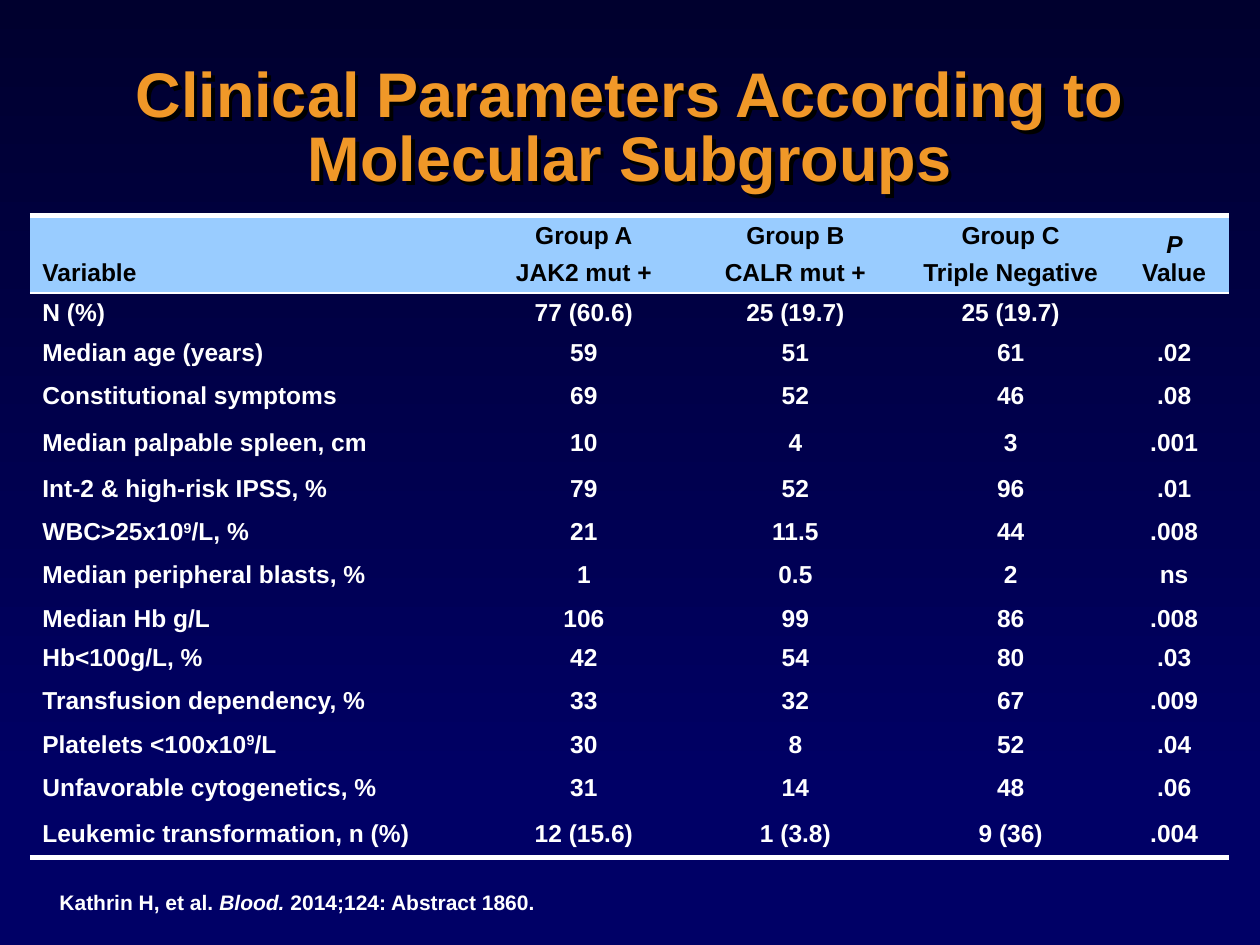
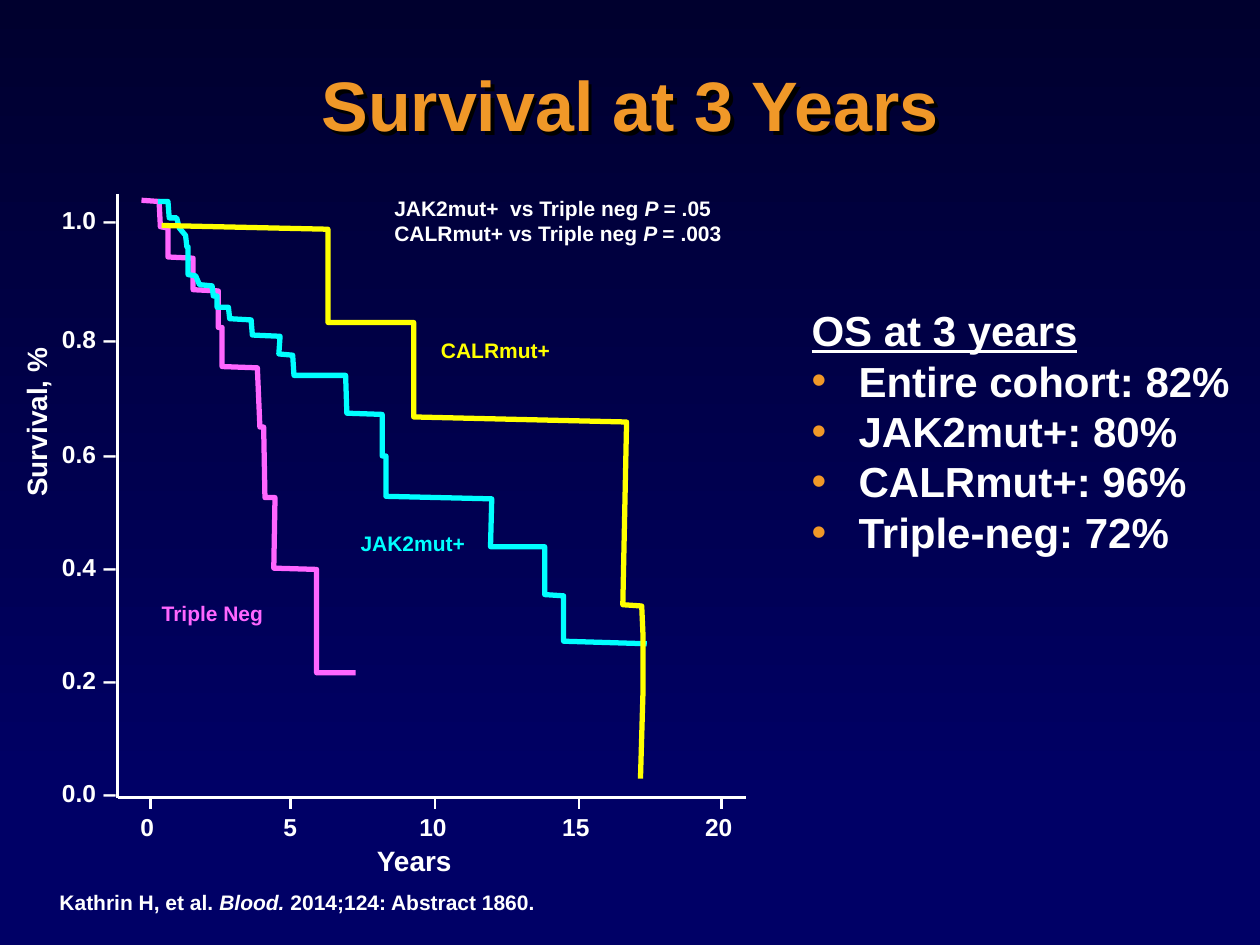
from lxml.etree import SubElement
from pptx import Presentation
from pptx.dml.color import RGBColor
from pptx.enum.shapes import MSO_CONNECTOR as CONN, MSO_SHAPE as SHAPE
from pptx.enum.text import MSO_ANCHOR as ANCHOR, PP_ALIGN as ALIGN
from pptx.oxml import parse_xml
from pptx.oxml.ns import nsdecls, qn
from pptx.util import Cm, Pt

COLORS = dict(navy="000066", night="00002E", orange="F09828", white="FFFFFF", black="000000",
              sky="99CCFF", pink="FF66FF", cyan="00FFFF", yellow="FFFF00")
FONT = "Arial"
NO_STYLE = "{2D5ABB26-0587-4C30-8999-92F81FD0307C}"
CITATION = "Kathrin H, et al. _Blood. _2014;124: Abstract 1860."
UNIT = Cm(2.54) / 100

HEADER = ["Variable", "Group A\nJAK2 mut +", "Group B\nCALR mut +",
          "Group C\nTriple Negative", "_P _Value"]
ROWS = [
    ["N (%)", "77 (60.6)", "25 (19.7)", "25 (19.7)", ""],
    ["Median age (years)", "59", "51", "61", ".02"],
    ["Constitutional symptoms", "69", "52", "46", ".08"],
    ["Median palpable spleen, cm", "10", "4", "3", ".001"],
    ["Int-2 & high-risk IPSS, %", "79", "52", "96", ".01"],
    ["WBC>25x10^9^/L, %", "21", "11.5", "44", ".008"],
    ["Median peripheral blasts, %", "1", "0.5", "2", "ns"],
    ["Median Hb g/L", "106", "99", "86", ".008"],
    ["Hb<100g/L, %", "42", "54", "80", ".03"],
    ["Transfusion dependency, %", "33", "32", "67", ".009"],
    ["Platelets <100x10^9^/L", "30", "8", "52", ".04"],
    ["Unfavorable cytogenetics, %", "31", "14", "48", ".06"],
    ["Leukemic transformation, n (%)", "12 (15.6)", "1 (3.8)", "9 (36)", ".004"],
]
COL_WIDTHS = [9.06, 4.22, 4.31, 4.37, 2.22]
HEADER_H, SHORT_H, TALL_H = 1.57, 0.8, 0.94
SHORT_ROWS = {1, 2, 6, 8, 9, 11}

TRIPLE_NEG = [
    (19, 5), (33, 6), (34, 26), (40, 27), (40, 50), (60, 51), (60, 76), (80, 77), (80, 106),
    (83, 106), (83, 137), (111, 138), (113, 185), (116, 185), (117, 241), (125, 241),
    (124, 297), (158, 298), (158, 380), (189, 380)]
JAK2 = [
    (32, 6), (40, 6), (41, 19), (47, 19), (49, 27), (54, 33), (55, 42), (56, 42), (56, 64),
    (62, 65), (65, 72), (75, 73), (76, 81), (79, 81), (79, 90), (88, 90), (89, 99), (106, 100),
    (107, 112), (129, 113), (128, 127), (139, 128), (140, 144), (181, 144), (182, 174),
    (210, 175), (210, 208), (213, 208), (213, 240), (297, 242), (296, 280), (339, 280),
    (339, 318), (354, 319), (354, 355), (420, 357)]
CALR = [
    (35, 25), (167, 28), (167, 102), (235, 102), (235, 177), (404, 181), (401, 326),
    (416, 327), (417, 350), (417, 395), (415, 464)]


def rgb(name):
    """Return the named colour."""
    return RGBColor.from_string(COLORS[name])


def write(p, text, size, color="white", para=None, **fmt):
    """Fill a paragraph; _..._ marks italics and ^...^ superscript."""
    for key, value in (para or {}).items():
        setattr(p, key, value)
    if not text:
        SubElement(p._p, qn("a:endParaRPr"), sz=str(size * 100))
    for i, part in enumerate(text.split("_")):
        for j, piece in enumerate(part.split("^")):
            if not piece:
                continue
            r = p.add_run()
            r.text = piece
            font = dict(name=FONT, size=Pt(size), bold=True, italic=i % 2 == 1) | fmt
            for key, value in font.items():
                setattr(r.font, key, value)
            r.font.color.rgb = rgb(color)
            if j % 2:
                r.font._element.set("baseline", "30000")


def add_text(s, box, lines, size, color="white", anchor=ANCHOR.TOP, para=None):
    """Add a text box with one paragraph per line."""
    sp = s.shapes.add_textbox(*map(Cm, box))
    tf = sp.text_frame
    tf.word_wrap, tf.vertical_anchor = True, anchor
    for i, line in enumerate(lines):
        p = tf.add_paragraph() if i else tf.paragraphs[0]
        write(p, line, size, color, para)
    return sp


def add_line(s, x1, y1, x2, y2):
    """Draw a white axis line or tick."""
    c = s.shapes.add_connector(CONN.STRAIGHT, *map(Cm, (x1, y1, x2, y2)))
    c.line.color.rgb, c.line.width = rgb("white"), Pt(1.5)
    SubElement(c._element.spPr, qn("a:effectLst"))


def add_title(s, box, text, size, spacing):
    """Add the shadowed orange title."""
    para = dict(alignment=ALIGN.CENTER, line_spacing=spacing)
    sp = add_text(s, box, [text], size, "orange", ANCHOR.MIDDLE, para)
    sp._element.spPr.append(parse_xml(
        f'<a:effectLst {nsdecls("a")}><a:outerShdw dist="38100" dir="2700000">'
        f'<a:srgbClr val="{COLORS["black"]}"/></a:outerShdw></a:effectLst>'))


def add_base(prs):
    """Add a slide with the shared background and citation."""
    s = prs.slides.add_slide(prs.slide_layouts[6])
    fill = s.background.fill
    fill.solid()
    fill.fore_color.rgb = rgb("navy")
    band = s.shapes.add_shape(SHAPE.RECTANGLE, 0, 0, prs.slide_width, Cm(16.31))
    band.shadow.inherit = False
    band.line.fill.background()
    band.fill.gradient()
    band.fill.gradient_angle = 270
    for stop, name in zip(band.fill.gradient_stops, ("night", "navy")):
        stop.color.rgb = rgb(name)
    add_text(s, (0.95, 17.81, 22.56, 0.76), [CITATION], 12)
    return s


def set_border(cell, side, width):
    """Draw a white border on the top (T) or bottom (B) of a cell."""
    cell._tc.get_or_add_tcPr().insert(0, parse_xml(
        f'<a:ln{side} {nsdecls("a")} w="{Pt(width)}"><a:solidFill>'
        f'<a:srgbClr val="{COLORS["white"]}"/></a:solidFill></a:ln{side}>'))


def fill_cell(cell, text, is_header, is_label):
    """Write and colour one table cell."""
    cell.vertical_anchor = ANCHOR.BOTTOM if is_header else ANCHOR.MIDDLE
    cell.margin_top = Cm(0.05 if is_header else 0.1)
    cell.margin_bottom = Cm(0.13 if is_header else 0.1)
    if is_header:
        cell.fill.solid()
        cell.fill.fore_color.rgb = rgb("sky")
    else:
        cell.fill.background()
    tf = cell.text_frame
    for i, line in enumerate(text.split("\n")):
        p = tf.add_paragraph() if i else tf.paragraphs[0]
        para = dict(alignment=ALIGN.LEFT if is_label else ALIGN.CENTER,
                    space_before=Pt(5.6 if i else 0))
        write(p, line, 14, "black" if is_header else "white", para)


def add_parameters(s, left, top):
    """Add the table of clinical parameters."""
    data = [HEADER] + ROWS
    heights = [HEADER_H] + [SHORT_H if i in SHORT_ROWS else TALL_H
                            for i in range(1, len(data))]
    box = (left, top, sum(COL_WIDTHS), sum(heights))
    tbl = s.shapes.add_table(len(data), len(HEADER), *map(Cm, box)).table
    tbl.first_row = tbl.horz_banding = False
    tbl._tbl.tblPr.find(qn("a:tableStyleId")).text = NO_STYLE
    for col, width in zip(tbl.columns, COL_WIDTHS):
        col.width = Cm(width)
    borders = {0: [("B", 1), ("T", 3)], len(ROWS): [("B", 3)]}
    for i, (row, height) in enumerate(zip(data, heights)):
        tbl.rows[i].height = Cm(height)
        for j, text in enumerate(row):
            cell = tbl.cell(i, j)
            fill_cell(cell, text, i == 0, j == 0)
            for side, width in borders.get(i, []):
                set_border(cell, side, width)


def add_curve(s, left, top, points, color):
    """Draw a survival curve from points relative to the plot corner."""
    fb = s.shapes.build_freeform(*points[0], scale=UNIT)
    fb.add_line_segments(points[1:], close=False)
    sp = fb.convert_to_shape(Cm(left), Cm(top))
    sp.shadow.inherit = False
    sp.fill.background()
    sp.line.color.rgb, sp.line.width = rgb(color), Pt(3)


def add_axes(s, left, top, width, height):
    """Draw the axes with their ticks, labels and titles."""
    bottom = top + height
    marks = [f"{v / 10:.1f} –" for v in range(10, -1, -2)]
    sp = add_text(s, (left - 1.7, top - 1.59, 1.93, 16.54), marks, 14,
                  para=dict(alignment=ALIGN.RIGHT, line_spacing=3.85))
    for p, gap in zip(sp.text_frame.paragraphs, (3, 1)):
        p.space_after = Pt(gap)
    add_line(s, left, top, left, bottom)
    add_line(s, left, bottom, left + width, bottom)
    for i, offset in enumerate((0.66, 3.48, 6.4, 9.3, 12.17)):
        x = left + offset
        add_line(s, x, bottom - 0.02, x, bottom + 0.23)
        add_text(s, (left - 0.15 + 2.88 * i, bottom + 0.17, 1.5, 0.86), [str(5 * i)], 14,
                 para=dict(alignment=ALIGN.CENTER))
    add_text(s, (left + 4.98, bottom + 0.81, 2.31, 0.94), ["Years"], 16)
    sp = add_text(s, (left - 3.94, top + 4.13, 4.6, 0.94), ["Survival, %"], 16,
                  para=dict(alignment=ALIGN.CENTER))
    sp.rotation = 270


def add_survival(s, left, top, width, height):
    """Draw the survival plot with curves, labels and P values."""
    add_axes(s, left, top, width, height)
    for name, color, points, x, y in (
            ("Triple Neg", "pink", TRIPLE_NEG, 0.64, 8.08),
            ("JAK2mut+", "cyan", JAK2, 4.65, 6.66),
            ("CALRmut+", "yellow", CALR, 6.27, 2.77)):
        add_curve(s, left, top, points, color)
        add_text(s, (left + x, top + y, 2.92, 0.76), [name], 12, color)
    add_text(s, (left + 5.33, top - 0.1, 8.41, 1.8),
             ["JAK2mut+  vs Triple neg _P _= .05", "CALRmut+ vs Triple neg _P _= .003"], 12)


def add_summary(s, box):
    """Add the underlined heading and bulleted survival rates."""
    sp = add_text(s, box, ["OS at 3 years", "Entire cohort: 82%", "JAK2mut+: 80%",
                           "CALRmut+: 96%", "Triple-neg: 72%"], 24)
    head, *items = sp.text_frame.paragraphs
    head.runs[0].font.underline = True
    for p in items:
        pPr = p._p.get_or_add_pPr()
        pPr.set("marL", str(Cm(0.95)))
        pPr.set("indent", str(-Cm(0.95)))
        SubElement(SubElement(pPr, qn("a:buClr")), qn("a:srgbClr"), val=COLORS["orange"])
        SubElement(pPr, qn("a:buFont"), typeface=FONT)
        SubElement(pPr, qn("a:buChar"), char="•")


def main():
    """Build and save the two slides."""
    prs = Presentation()
    prs.slide_width, prs.slide_height = Cm(25.4), Cm(19.05)
    s = add_base(prs)
    add_title(s, (0.94, 1.04, 23.52, 3.18),
              "Clinical Parameters According to Molecular Subgroups", 36, 0.85)
    add_parameters(s, 0.6, 4.34)
    s = add_base(prs)
    add_title(s, (0.94, 0.61, 23.52, 3.18), "Survival at 3 Years", 40, 0.9)
    add_survival(s, 2.37, 3.91, 12.67, 12.17)
    add_summary(s, (16.11, 6.02, 9.12, 5.38))
    prs.save("out.pptx")


main()
